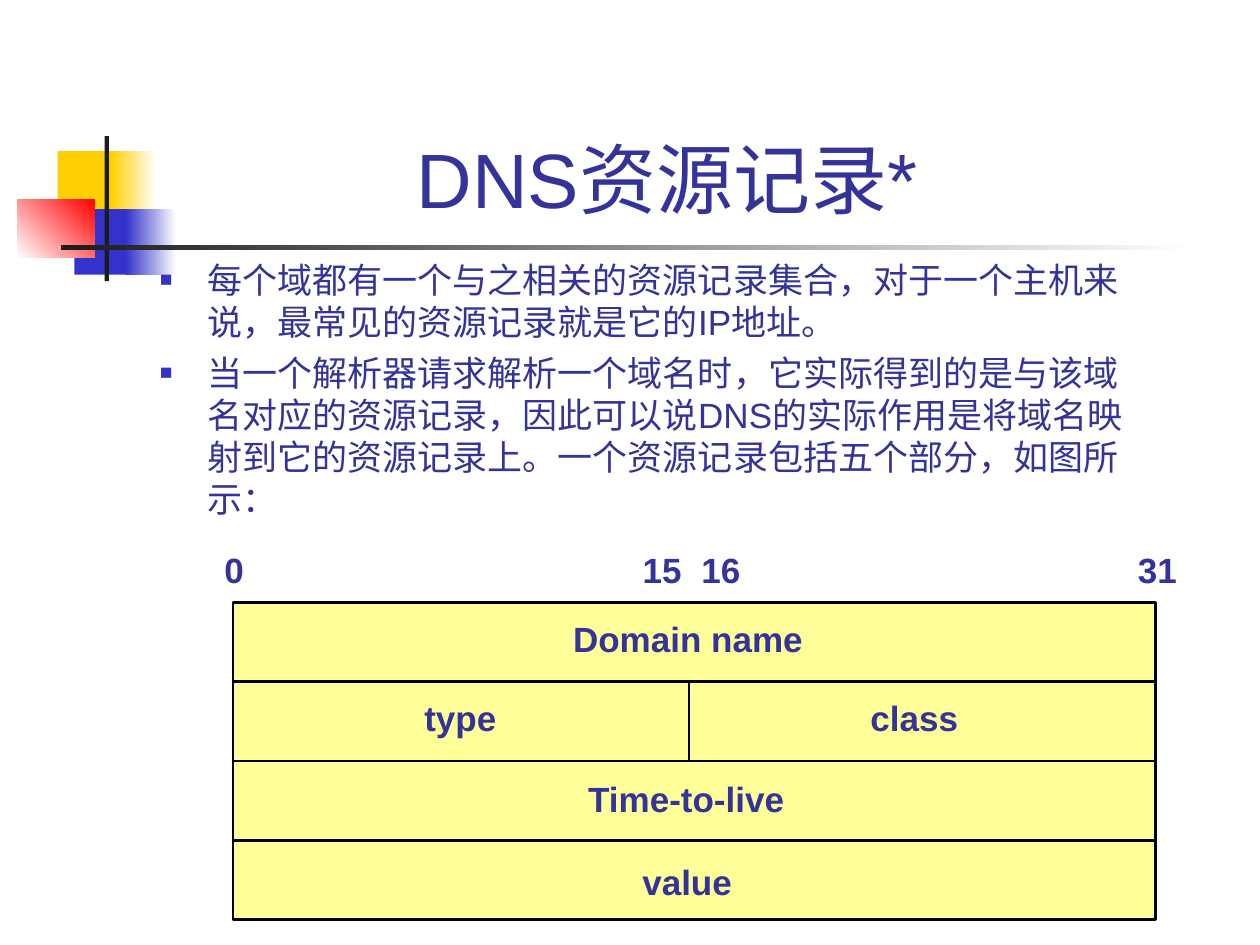
from dataclasses import dataclass

from lxml import etree
from pptx import Presentation
from pptx import util as u
from pptx.dml.color import RGBColor
from pptx.enum import shapes, text
from pptx.oxml import ns

Pt = u.Pt


@dataclass(frozen=True)
class Theme:
    font: str = "Arial"
    ink: str = "333399"
    yellow: str = "FFCF01"
    blue: str = "3333CC"
    red: str = "FF0000"
    dark: str = "1C1C1C"
    white: str = "FFFFFF"
    row: str = "FFFF99"
    line: str = "000000"
    title_size: float = 44
    text_size: float = 20
    line_width: float = 1.5


THEME = Theme()

# Record diagram: four equal rows, the second split in two
ROW_LEFT, ROW_TOP, ROW_WIDTH, ROW_HEIGHT = 133.2, 344.2, 527, 45.36
SPLIT_X = 393.8
LABEL_HEIGHT = 31.5
LABELS = [
    ("Domain name", 320.4, 349.2, 164),
    ("type", 235.4, 394.6, 85),
    ("class", 490.3, 394.6, 85),
    ("Time-to-live", 329, 440.6, 173),
    ("value", 360, 488.2, 91),
]
BIT_NUMBERS = [("0", 11), ("15", 250), ("16", 283.5), ("31", 533)]

BULLETS = [
    "每个域都有一个与之相关的资源记录集合，对于一个主机来说，最常见的资源记录就是它的IP地址。",
    "当一个解析器请求解析一个域名时，它实际得到的是与该域名对应的资源记录，"
    "因此可以说DNS的实际作用是将域名映射到它的资源记录上。"
    "一个资源记录包括五个部分，如图所示：",
]


def color(value):
    return RGBColor.from_string(value)


def add_xml(parent, tag, **attributes):
    return etree.SubElement(parent, ns.qn(tag), attributes)


def place(shape, left, top, width, height):
    shape.left, shape.top = Pt(left), Pt(top)
    shape.width, shape.height = Pt(width), Pt(height)


def add_run(paragraph, words, size=THEME.text_size, bold=False):
    run = paragraph.add_run()
    run.text = words
    run.font.name, run.font.size, run.font.bold = THEME.font, Pt(size), bold
    run.font.color.rgb = color(THEME.ink)


def add_box(slide, box, *fills, angle=0, outlined=False):
    """Rectangle with one solid fill, or a gradient between two colours."""
    left, top, width, height = map(Pt, box)
    shape = slide.shapes.add_shape(
        shapes.MSO_SHAPE.RECTANGLE, left, top, width, height)
    shape.shadow.inherit = False
    if len(fills) == 1:
        shape.fill.solid()
        shape.fill.fore_color.rgb = color(fills[0])
    else:
        shape.fill.gradient()
        shape.fill.gradient_angle = angle
        for stop, fill in zip(shape.fill.gradient_stops, fills):
            stop.color.rgb = color(fill)
    if outlined:
        shape.line.color.rgb = color(THEME.line)
        shape.line.width = Pt(THEME.line_width)
    else:
        shape.line.fill.background()


def add_label(slide, words, left, top, width):
    box = slide.shapes.add_textbox(
        Pt(left), Pt(top), Pt(width), Pt(LABEL_HEIGHT))
    box.text_frame.word_wrap = True
    paragraph = box.text_frame.paragraphs[0]
    add_run(paragraph, words, bold=True)
    return paragraph


def add_decoration(slide):
    t = THEME
    add_box(slide, (33, 86.4, 34.6, 37.4), t.yellow)
    add_box(slide, (63.4, 86.4, 25.9, 37.4), t.yellow, t.white)
    add_box(slide, (42.5, 119.5, 33.1, 37.4), t.blue)
    add_box(slide, (72, 119.5, 28.8, 37.4), t.blue, t.white)
    add_box(slide, (10, 113.8, 44, 33.1), t.white, t.red, angle=45)
    add_box(slide, (59.8, 77.8, 2.4, 82.8), t.dark)
    add_box(slide, (34.6, 140.2, 648, 2.4), t.dark, t.white)


def fill_title(title):
    place(title, 102.2, 54, 558, 77.8)
    frame = title.text_frame
    frame.vertical_anchor = text.MSO_ANCHOR.BOTTOM
    frame.auto_size = text.MSO_AUTO_SIZE.NONE
    paragraph = frame.paragraphs[0]
    paragraph.alignment = text.PP_ALIGN.CENTER
    add_run(paragraph, "DNS资源记录*", THEME.title_size)


def fill_bullets(body):
    place(body, 84.2, 144, 576, 162)
    frame = body.text_frame
    frame.auto_size = text.MSO_AUTO_SIZE.NONE
    for index, words in enumerate(BULLETS):
        paragraph = frame.add_paragraph() if index else frame.paragraphs[0]
        paragraph.space_before = Pt(5)
        properties = paragraph._p.get_or_add_pPr()
        properties.set("marL", str(Pt(27)))
        properties.set("indent", str(Pt(-27)))
        bullet_color = add_xml(properties, "a:buClr")
        add_xml(bullet_color, "a:srgbClr", val=THEME.blue)
        add_xml(properties, "a:buSzPct", val="60000")
        add_xml(properties, "a:buFont", typeface=THEME.font)
        add_xml(properties, "a:buChar", char="■")
        add_run(paragraph, words)


def add_record(slide):
    for row in range(4):
        top = ROW_TOP + row * ROW_HEIGHT
        add_box(slide, (ROW_LEFT, top, ROW_WIDTH, ROW_HEIGHT),
                THEME.row, outlined=True)

    # Divider between type and class
    top = ROW_TOP + ROW_HEIGHT
    divider = slide.shapes.add_connector(
        shapes.MSO_CONNECTOR.STRAIGHT,
        Pt(SPLIT_X), Pt(top), Pt(SPLIT_X), Pt(top + ROW_HEIGHT))
    divider.line.color.rgb = color(THEME.line)
    divider.line.width = Pt(THEME.line_width)
    add_xml(divider._element.spPr, "a:effectLst")

    for label in LABELS:
        add_label(slide, *label)


def add_bit_numbers(slide):
    """One line of numbers, each at its own tab stop."""
    words = "".join("\t" + number for number, _ in BIT_NUMBERS)
    paragraph = add_label(slide, words, 110.2, 309.6, 592.6)
    tabs = add_xml(paragraph._p.get_or_add_pPr(), "a:tabLst")
    for _, position in BIT_NUMBERS:
        add_xml(tabs, "a:tab", pos=str(Pt(position)), algn="l")


def main():
    presentation = Presentation()
    presentation.slide_width, presentation.slide_height = Pt(720), Pt(540)
    slide = presentation.slides.add_slide(presentation.slide_layouts[1])
    title, body = slide.placeholders

    add_decoration(slide)
    # Title and list stand in front of the decoration
    for placeholder in (title, body):
        placeholder.element.getparent().append(placeholder.element)
    fill_title(title)
    fill_bullets(body)
    add_record(slide)
    add_bit_numbers(slide)
    presentation.save("out.pptx")


if __name__ == "__main__":
    main()
